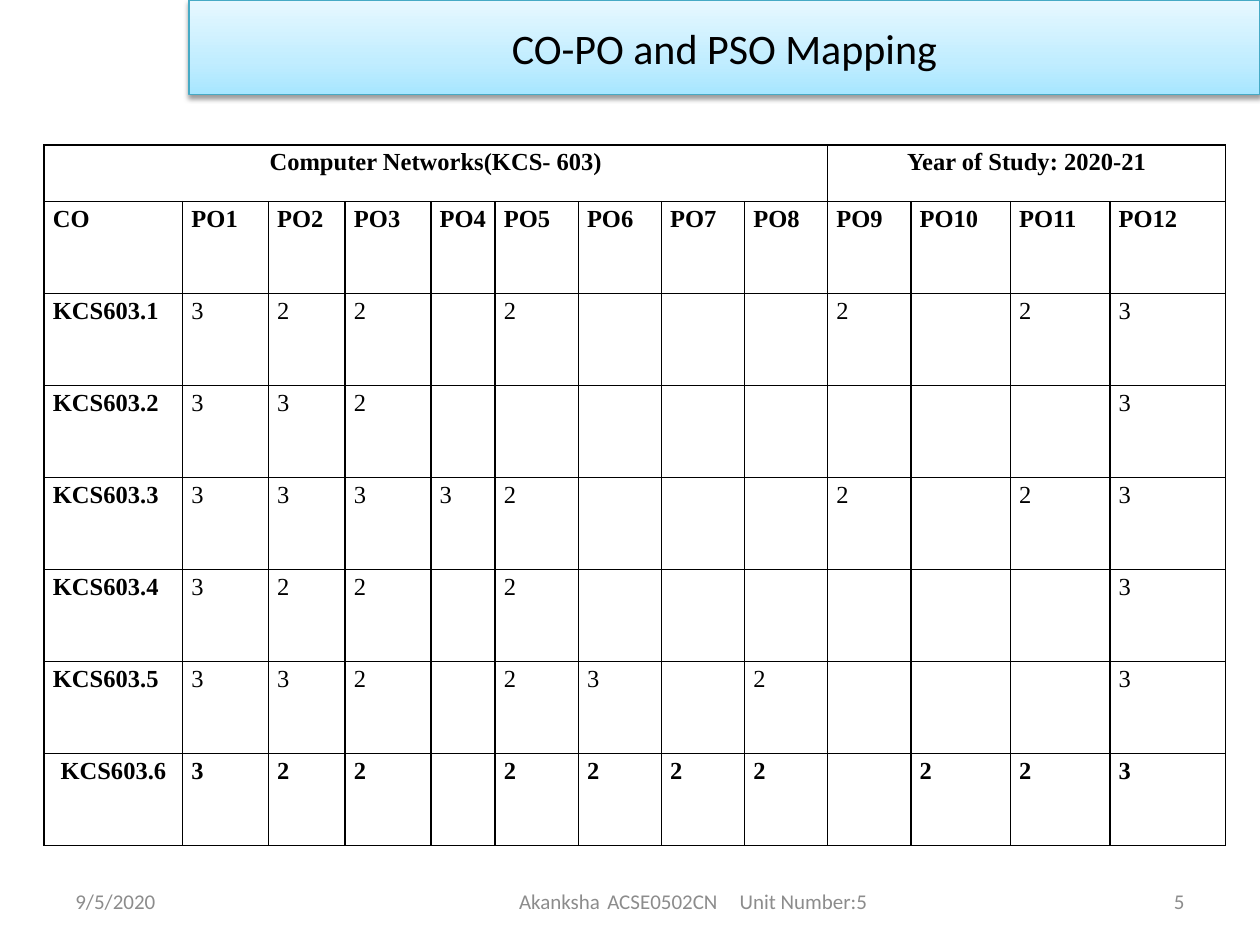
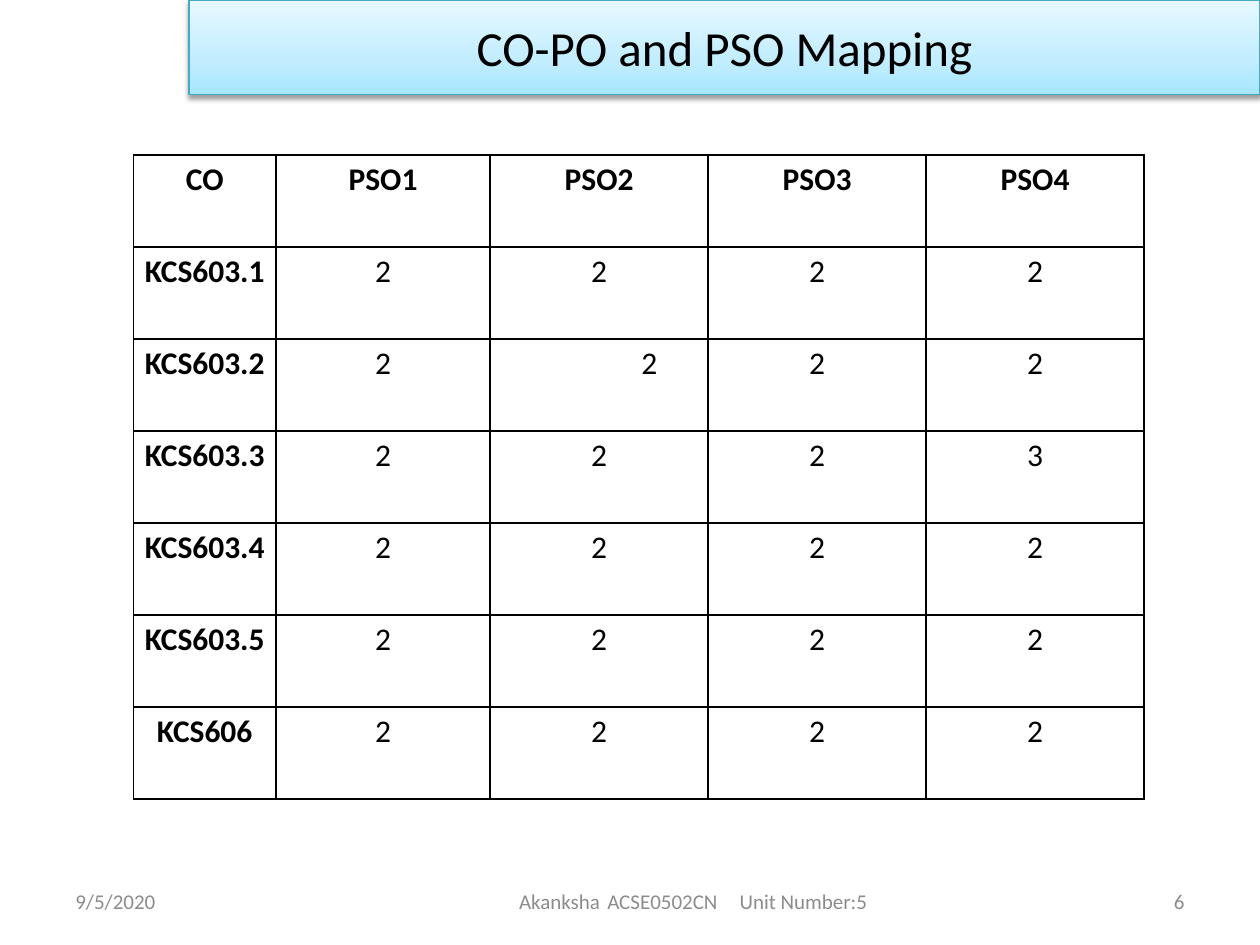
from copy import deepcopy

from lxml import etree
from pptx import Presentation
from pptx.dml.color import RGBColor
from pptx.enum.shapes import MSO_SHAPE
from pptx.enum.text import MSO_ANCHOR, PP_ALIGN
from pptx.oxml import parse_xml
from pptx.oxml.ns import nsdecls, qn
from pptx.util import Inches, Pt

COLORS = {
    "text": "000000",
    "footer": "8C8C8C",
    "border": "000000",
    "band_line": "46AAC5",
    "band_bottom": "A7E6FF",
    "band_middle": "C1EDFF",
    "band_top": "E7F8FF",
}
BAND_STOPS = [(0, "band_bottom"), (0.35, "band_middle"), (1, "band_top")]
TITLE = "CO-PO and PSO Mapping"
DATE = "9/5/2020"
COURSE = "Akanksha\tACSE0502CN\tUnit Number:5"
ROW_HEIGHT = 0.73

PO_WIDTHS = [1.1, 0.68, 0.61, 0.68, 0.51] + [0.66] * 5 + [0.79, 0.79, 0.92]
# One character per PO1 to PO12; a dash is an empty cell
PO_LEVELS = {
    "KCS603.1": "322-2---2-23",
    "KCS603.2": "332--------3",
    "KCS603.3": "33332---2-23",
    "KCS603.4": "322-2------3",
    "KCS603.5": "332-23-2---3",
    "KCS603.6": "322-2222-223",
}
PSO_WIDTHS = [1.13, 1.7, 1.73, 1.73, 1.73]
PSO_LEVELS = {
    "KCS603.1": "2222",
    "KCS603.2": "2222",
    "KCS603.3": "2223",
    "KCS603.4": "2222",
    "KCS603.5": "2222",
    "KCS606": "2222",
}


def rgb(name):
    return RGBColor.from_string(COLORS[name])


def write(frame, text, *, size, font="Calibri", color="text", bold=False,
          align=PP_ALIGN.LEFT, spacing=None, after=None, indent=0, tabs=()):
    """Fill the first paragraph; indent and tabs are inches from the text edge."""
    paragraph = frame.paragraphs[0]
    paragraph.text = text
    paragraph.alignment = align
    properties = paragraph._p.get_or_add_pPr()
    if indent:
        properties.set("marL", str(Inches(indent)))
    if tabs:
        tab_list = etree.SubElement(properties, qn("a:tabLst"))
        for position in tabs:
            etree.SubElement(tab_list, qn("a:tab"), pos=str(Inches(position)), algn="l")
    if spacing:
        paragraph.line_spacing = spacing
    if after:
        paragraph.space_after = Pt(after)
    paragraph.font.size = Pt(size)
    for run in paragraph.runs:
        run.font.name = font
        run.font.size = Pt(size)
        run.font.bold = bold
        run.font.color.rgb = rgb(color)


def add_footer_text(slide, left, width, text, inset=0.1, **text_format):
    box = slide.shapes.add_textbox(Inches(left), Inches(6.95), Inches(width), Inches(0.4))
    frame = box.text_frame
    frame.word_wrap = True
    frame.vertical_anchor = MSO_ANCHOR.MIDDLE
    frame.margin_left = Inches(inset)
    write(frame, text, size=12, color="footer", **text_format)


def add_footer(slide, number):
    add_footer_text(slide, 0.5, 2.33, DATE)
    add_footer_text(slide, 2.75, 5.5, COURSE, inset=1.37, tabs=(0.7, 1.75))
    add_footer_text(slide, 7.17, 2.33, str(number), align=PP_ALIGN.RIGHT)


def add_title_band(slide, size):
    band = slide.shapes.add_shape(
        MSO_SHAPE.RECTANGLE, Inches(1.5), 0, Inches(8.5), Inches(0.75))
    band.fill.gradient()
    band.fill.gradient_angle = 90
    properties = band._element.spPr
    stop_list = properties.find(".//" + qn("a:gsLst"))
    stop_list.insert(1, deepcopy(stop_list[0]))
    for stop, (position, color) in zip(band.fill.gradient_stops, BAND_STOPS):
        stop.position = position
        stop.color.rgb = rgb(color)
    band.line.color.rgb = rgb("band_line")
    band.line.width = Pt(0.75)
    properties.append(parse_xml(
        f'<a:effectLst {nsdecls("a")}><a:outerShdw blurRad="{Pt(3.1)}" dist="{Pt(1.6)}" '
        'dir="5400000" rotWithShape="0"><a:srgbClr val="000000"><a:alpha val="38000"/>'
        '</a:srgbClr></a:outerShdw></a:effectLst>'))
    band.text_frame.vertical_anchor = MSO_ANCHOR.MIDDLE
    write(band.text_frame, TITLE, size=size, align=PP_ALIGN.CENTER)


def style_cell(cell):
    """Clear the fill, tighten the margins and draw all four borders."""
    cell.margin_left = cell.margin_right = Inches(0.07)
    cell.margin_top = cell.margin_bottom = 0
    cell.fill.background()
    properties = cell._tc.get_or_add_tcPr()
    for index, side in enumerate("LRTB"):
        properties.insert(index, parse_xml(
            f'<a:ln{side} {nsdecls("a")} w="{Pt(1)}"><a:solidFill>'
            f'<a:srgbClr val="{COLORS["border"]}"/></a:solidFill></a:ln{side}>'))


def add_grid(slide, left, top, widths, heights):
    frame = slide.shapes.add_table(
        len(heights), len(widths), Inches(left), Inches(top),
        Inches(sum(widths)), Inches(sum(heights)))
    table = frame.table
    table.first_row = table.horz_banding = False
    for column, width in zip(table.columns, widths):
        column.width = Inches(width)
    for row, height in zip(table.rows, heights):
        row.height = Inches(height)
    for cell in table.iter_cells():
        style_cell(cell)
    return table


def write_cell(cell, text, **text_format):
    write(cell.text_frame, text, spacing=1.15, after=10, **text_format)


def mapping_rows(prefix, levels):
    """Heading row, then one row of levels for each course outcome."""
    count = len(next(iter(levels.values())))
    heading = ["CO"] + [f"{prefix}{n}" for n in range(1, count + 1)]
    return [heading] + [[outcome, *marks.replace("-", " ")]
                        for outcome, marks in levels.items()]


def add_po_table(slide):
    rows = mapping_rows("PO", PO_LEVELS)
    table = add_grid(slide, 0.35, 1.15, PO_WIDTHS, [0.45] + [ROW_HEIGHT] * len(rows))
    style = {"size": 14, "font": "Times New Roman"}
    for first, last, text in [(0, 8, "Computer Networks(KCS- 603)"),
                              (9, 12, "Year of Study: 2020-21")]:
        table.cell(0, first).merge(table.cell(0, last))
        write_cell(table.cell(0, first), text, bold=True, align=PP_ALIGN.CENTER, **style)
    for r, row in enumerate(rows, start=1):
        for c, text in enumerate(row):
            last_outcome = r == len(rows)
            align = PP_ALIGN.CENTER if last_outcome and c == 0 else PP_ALIGN.LEFT
            write_cell(table.cell(r, c), text.strip(), align=align,
                       bold=r == 1 or c == 0 or last_outcome, **style)


def add_pso_table(slide):
    rows = mapping_rows("PSO", PSO_LEVELS)
    table = add_grid(slide, 1.06, 1.23, PSO_WIDTHS, [ROW_HEIGHT] * len(rows))
    for r, row in enumerate(rows):
        for c, text in enumerate(row):
            if (r, c) == (2, 2):
                placing = {"indent": 1.13}
            else:
                placing = {"align": PP_ALIGN.CENTER}
            write_cell(table.cell(r, c), text, size=18, bold=r == 0 or c == 0, **placing)


def main():
    deck = Presentation()
    deck.slide_width, deck.slide_height = Inches(10), Inches(7.5)
    pages = [(5, 24, add_po_table), (6, 28, add_pso_table)]
    for number, title_size, add_mapping in pages:
        slide = deck.slides.add_slide(deck.slide_layouts[6])
        add_footer(slide, number)
        add_title_band(slide, title_size)
        add_mapping(slide)
    deck.save("out.pptx")


if __name__ == "__main__":
    main()
